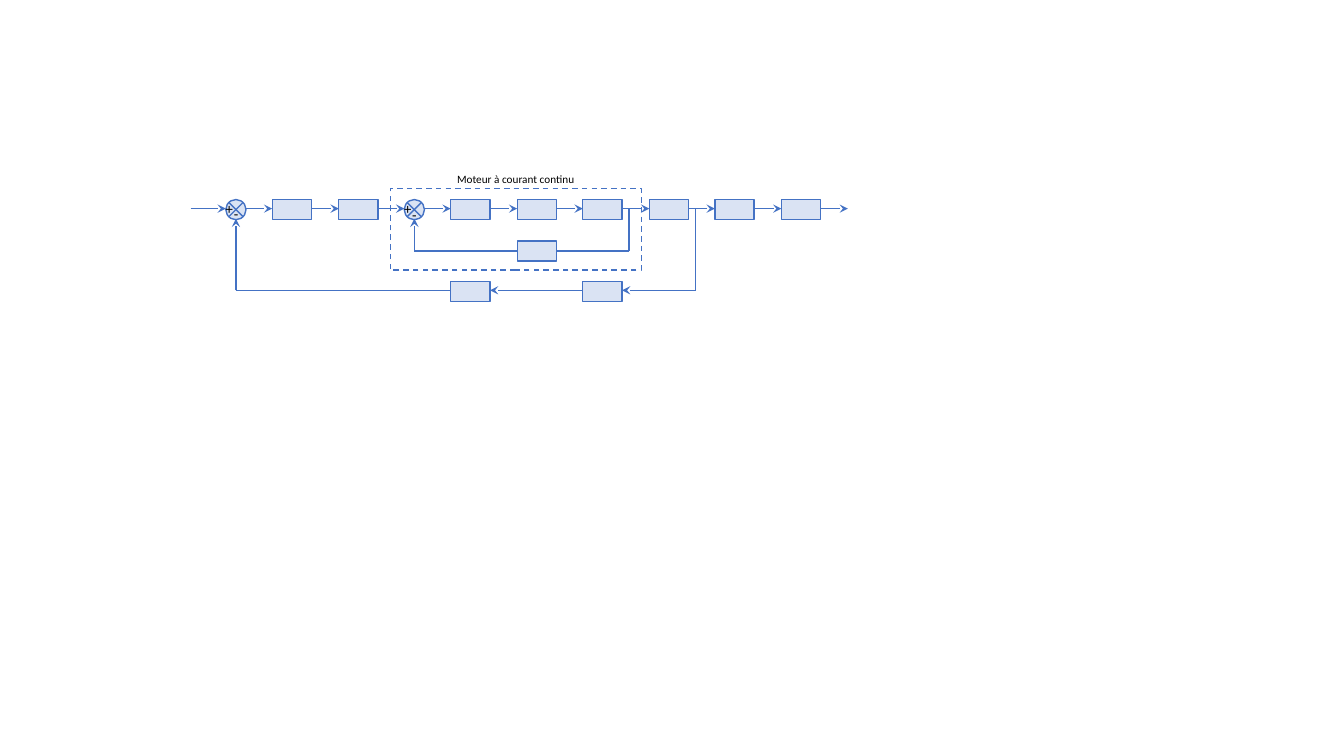
from dataclasses import dataclass
from itertools import pairwise

from lxml import etree
from pptx import Presentation
from pptx.dml.color import RGBColor
from pptx.enum.dml import MSO_LINE
from pptx.enum.shapes import MSO_CONNECTOR, MSO_SHAPE
from pptx.enum.text import MSO_AUTO_SIZE, PP_ALIGN
from pptx.oxml.ns import qn
from pptx.shapes.autoshape import Shape
from pptx.shapes.shapetree import GroupShapes
from pptx.util import Emu, Pt

RECT = MSO_SHAPE.RECTANGLE
JUNCTION = MSO_SHAPE.FLOWCHART_SUMMING_JUNCTION
STRAIGHT = MSO_CONNECTOR.STRAIGHT
LEFT, CENTER = PP_ALIGN.LEFT, PP_ALIGN.CENTER

EMU_PER_PX = 9144  # 100 px to the inch
COLORS = {"line": "4472C4", "block": "DAE3F3", "text": "000000"}
FONT = "Calibri"

BLOCK_WIDTH, JUNCTION_WIDTH, HEIGHT = 39, 20, 20
PITCH = 65.6  # distance between neighbouring blocks
CHAIN_TOP, INNER_TOP, OUTER_TOP = 198, 239, 279
CHAIN_AXIS, INNER_AXIS, OUTER_AXIS = 207, 249, 288
JUNCTION_BOTTOM = 217
INPUT_X, OUTPUT_X = 189, 841
OUTER_SUM, INNER_SUM = 224, 401
INNER_TAP, OUTER_TAP = 624, 690
CONTROL_BLOCKS = [round(270 + PITCH * i) for i in range(2)]
MOTOR_BLOCKS = [round(447 + PITCH * i) for i in range(6)]


@dataclass
class Node:
    left: int
    top: int = CHAIN_TOP
    width: int = BLOCK_WIDTH
    preset: MSO_SHAPE = RECT

    @property
    def right(self) -> int:
        return self.left + self.width

    @property
    def middle(self) -> int:
        return self.left + self.width // 2


@dataclass
class Wire:
    x1: int
    y1: int
    x2: int
    y2: int
    arrow: bool = False


@dataclass
class Label:
    text: str
    left: int
    top: int
    width: int = 32
    height: int = 29
    size: float = 10.5
    align: PP_ALIGN = LEFT


def px(length: int) -> Emu:
    return Emu(length * EMU_PER_PX)


def color(name: str) -> RGBColor:
    return RGBColor.from_string(COLORS[name])


def add_outlined(shapes: GroupShapes, preset: MSO_SHAPE, left: int, top: int,
                 width: int, height: int) -> Shape:
    shape = shapes.add_shape(preset, px(left), px(top), px(width), px(height))
    shape.shadow.inherit = False
    shape.line.color.rgb = color("line")
    shape.line.width = Pt(1)
    return shape


def draw_node(shapes: GroupShapes, node: Node) -> None:
    shape = add_outlined(shapes, node.preset, node.left, node.top, node.width, HEIGHT)
    shape.fill.solid()
    shape.fill.fore_color.rgb = color("block")


def draw_wire(shapes: GroupShapes, wire: Wire) -> None:
    connector = shapes.add_connector(
        STRAIGHT, px(wire.x1), px(wire.y1), px(wire.x2), px(wire.y2))
    connector.line.color.rgb = color("line")
    connector.line.width = Pt(1)
    properties = connector._element.spPr
    if wire.arrow:
        etree.SubElement(properties.find(qn("a:ln")), qn("a:tailEnd"), type="stealth")
    etree.SubElement(properties, qn("a:effectLst"))


def draw_label(shapes: GroupShapes, label: Label) -> None:
    box = shapes.add_textbox(px(label.left), px(label.top), px(label.width), px(label.height))
    frame = box.text_frame
    frame.word_wrap = True
    frame.auto_size = MSO_AUTO_SIZE.SHAPE_TO_FIT_TEXT
    frame.text = label.text
    para = frame.paragraphs[0]
    para.alignment = label.align
    font = para.runs[0].font
    font.name, font.size = FONT, Pt(label.size)
    font.color.rgb = color("text")


def main() -> None:
    deck = Presentation()
    deck.slide_width, deck.slide_height = px(1333), px(750)
    page = deck.slides.add_slide(deck.slide_layouts[6])
    diagram = page.shapes.add_group_shape().shapes

    # Forward chain and feedback blocks
    outer_sum = Node(OUTER_SUM, width=JUNCTION_WIDTH, preset=JUNCTION)
    inner_sum = Node(INNER_SUM, width=JUNCTION_WIDTH, preset=JUNCTION)
    chain = [outer_sum, *map(Node, CONTROL_BLOCKS), inner_sum, *map(Node, MOTOR_BLOCKS)]
    inner_return = Node(MOTOR_BLOCKS[1], INNER_TOP)
    outer_return = Node(MOTOR_BLOCKS[0], OUTER_TOP)
    sensor = Node(MOTOR_BLOCKS[2], OUTER_TOP)
    for node in [*chain, inner_return, outer_return, sensor]:
        draw_node(diagram, node)

    # Arrows along the chain, then the two feedback loops
    spans = [
        (INPUT_X, outer_sum.left),
        *((before.right, after.left) for before, after in pairwise(chain)),
        (chain[-1].right, OUTPUT_X),
    ]
    wires = [Wire(start, CHAIN_AXIS, end, CHAIN_AXIS, True) for start, end in spans]
    wires += [
        Wire(inner_sum.middle, INNER_AXIS, inner_sum.middle, JUNCTION_BOTTOM, True),
        Wire(inner_return.left, INNER_AXIS, inner_sum.middle, INNER_AXIS),
        Wire(INNER_TAP, INNER_AXIS, inner_return.right, INNER_AXIS),
        Wire(INNER_TAP, CHAIN_AXIS, INNER_TAP, INNER_AXIS),
        Wire(sensor.left, OUTER_AXIS, outer_return.right, OUTER_AXIS, True),
        Wire(outer_sum.middle, OUTER_AXIS, outer_sum.middle, JUNCTION_BOTTOM, True),
        Wire(outer_sum.middle, OUTER_AXIS, outer_return.left, OUTER_AXIS),
        Wire(OUTER_TAP, OUTER_AXIS, sensor.right, OUTER_AXIS, True),
        Wire(OUTER_TAP, CHAIN_AXIS, OUTER_TAP, OUTER_AXIS),
    ]
    for wire in wires:
        draw_wire(diagram, wire)

    # Signs and title
    labels = [
        Label("+", 214, 193),
        Label("-", 222, 198),
        Label("-", 395, 199, align=CENTER),
        Label("+", 391, 193),
        Label("Moteur à courant continu", 387, 166, 249, 24, 8, CENTER),
    ]
    for label in labels:
        draw_label(diagram, label)

    # Dashed frame around the motor
    motor_frame = add_outlined(diagram, RECT, 387, 187, 249, 81)
    motor_frame.fill.background()
    motor_frame.line.dash_style = MSO_LINE.DASH

    deck.save("out.pptx")


if __name__ == "__main__":
    main()
